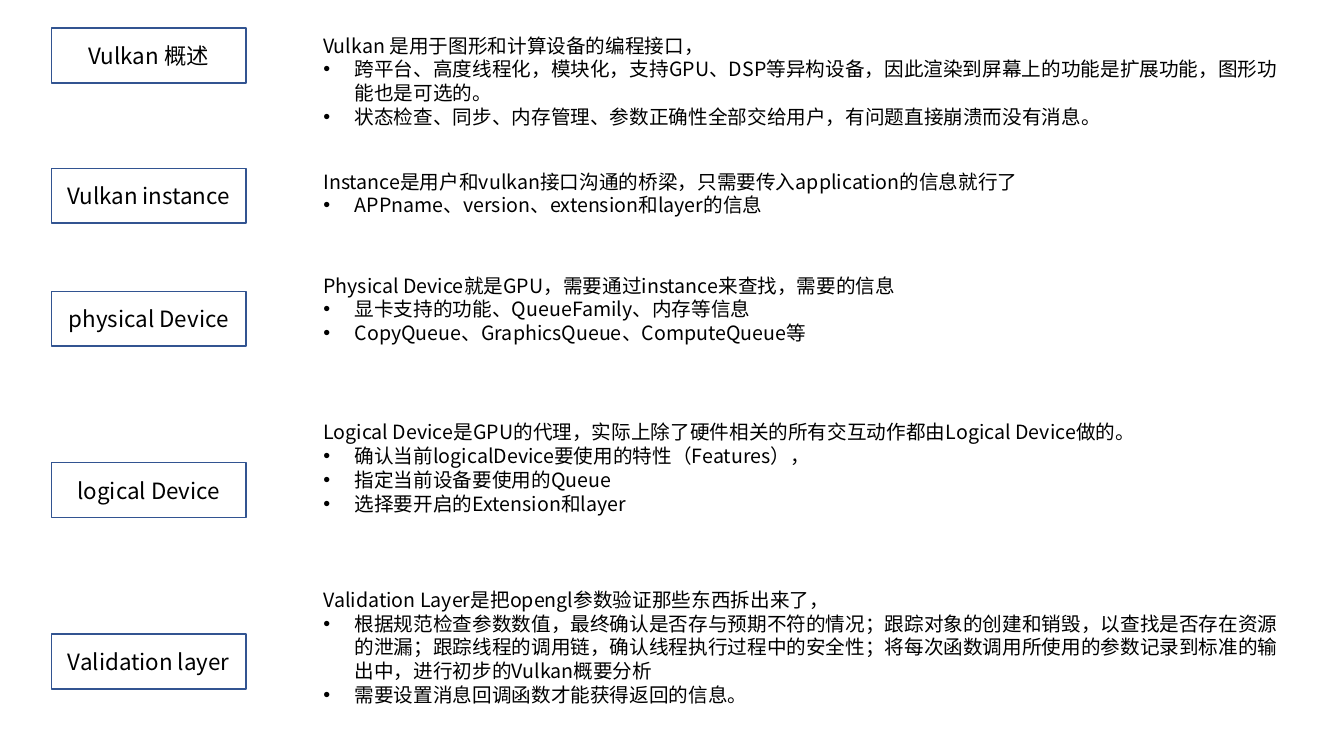
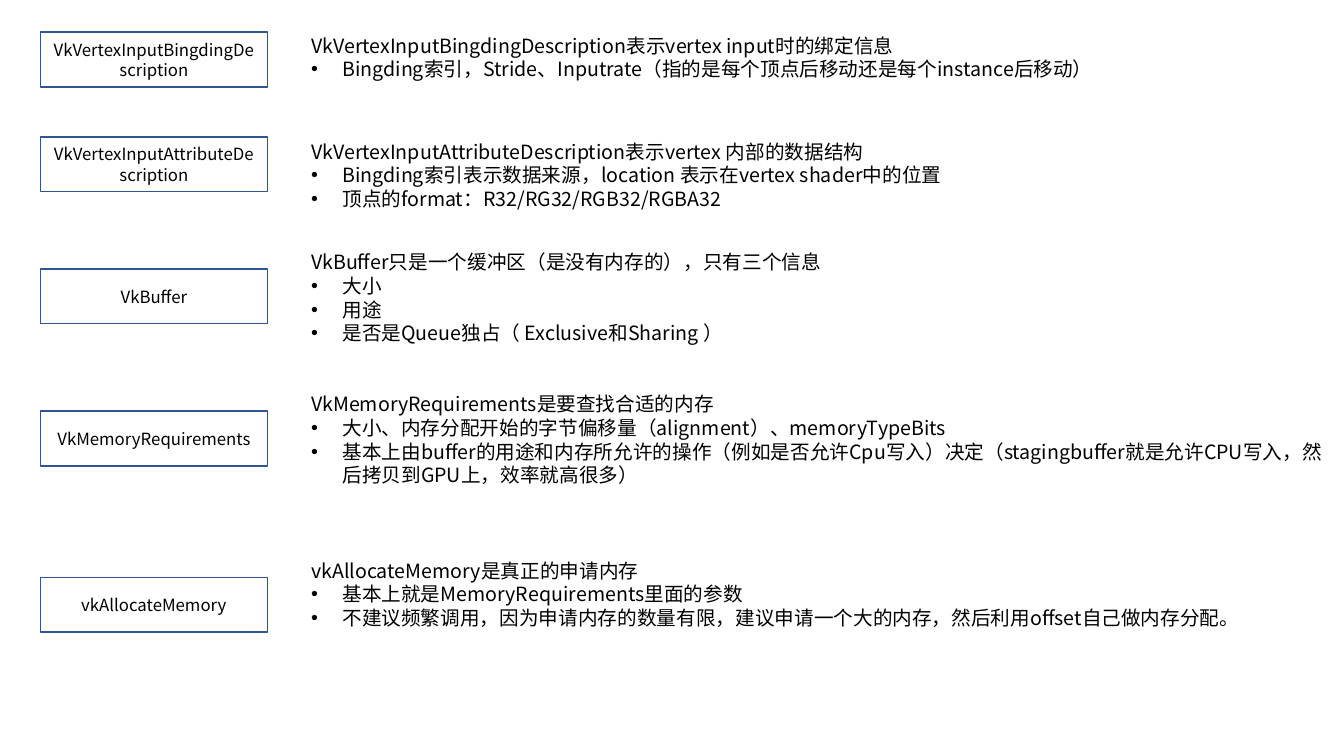
from dataclasses import dataclass

from lxml.etree import SubElement
from pptx import Presentation
from pptx.dml.color import RGBColor
from pptx.enum.shapes import MSO_SHAPE as SHAPE
from pptx.enum.text import MSO_ANCHOR as ANCHOR, MSO_AUTO_SIZE as FIT, PP_ALIGN as ALIGN
from pptx.oxml.ns import qn
from pptx.util import Cm, Pt


@dataclass(frozen=True)
class Theme:
    font: str = "Noto Sans CJK SC"
    ink: RGBColor = RGBColor(0, 0, 0)
    outline: RGBColor = RGBColor(0x32, 0x54, 0x91)
    line_width: float = 1
    body_size: float = 14
    leading: float = 1.21
    label_height: float = 1.38
    inset: float = 0.13
    bullet_indent: float = 0.79


@dataclass(frozen=True)
class Columns:
    label_left: float
    label_width: float
    label_size: float
    text_left: float
    text_width: float


@dataclass(frozen=True)
class Topic:
    label: str
    label_top: float
    text_top: float
    lines: int  # lines of text after wrapping
    lead: str
    points: tuple


T = Theme()


# Text helpers
def add_run(p, text, size):
    p.line_spacing = Pt(size * T.leading)
    r = p.add_run()
    r.text = text
    r.font.size = Pt(size)
    r.font.name = T.font
    r.font.color.rgb = T.ink
    SubElement(r.font._element, qn("a:ea"), typeface=T.font)


def add_bullet(p):
    pPr = p._p.get_or_add_pPr()
    indent = Cm(T.bullet_indent)
    pPr.set("marL", str(indent))
    pPr.set("indent", str(-indent))
    SubElement(pPr, qn("a:buFont"), typeface="Arial")
    SubElement(pPr, qn("a:buChar"), char="•")


# Outlined box naming the topic
def add_label(s, text, size, left, top, width):
    sp = s.shapes.add_shape(SHAPE.RECTANGLE, Cm(left), Cm(top),
                            Cm(width), Cm(T.label_height))
    sp.shadow.inherit = False
    sp.fill.background()
    sp.line.color.rgb = T.outline
    sp.line.width = Pt(T.line_width)
    tf = sp.text_frame
    tf.word_wrap = True
    tf.vertical_anchor = ANCHOR.MIDDLE
    p = tf.paragraphs[0]
    p.alignment = ALIGN.CENTER
    add_run(p, text, size)


# Lead sentence with its bullet points
def add_notes_block(s, topic, left, width):
    height = Pt(T.body_size * T.leading) * topic.lines + 2 * Cm(T.inset)
    tf = s.shapes.add_textbox(Cm(left), Cm(topic.text_top), Cm(width), height).text_frame
    tf.word_wrap = True
    tf.auto_size = FIT.SHAPE_TO_FIT_TEXT
    tf.margin_top = tf.margin_bottom = Cm(T.inset)
    add_run(tf.paragraphs[0], topic.lead, T.body_size)
    for point in topic.points:
        p = tf.add_paragraph()
        add_run(p, point, T.body_size)
        add_bullet(p)


def add_topic_slide(prs, cols, topics):
    s = prs.slides.add_slide(prs.slide_layouts[6])
    for topic in topics:
        add_label(s, topic.label, cols.label_size, cols.label_left,
                  topic.label_top, cols.label_width)
        add_notes_block(s, topic, cols.text_left, cols.text_width)


# Content
SETUP = (
    Topic("Vulkan 概述", 0.71, 0.71, 5, "Vulkan 是用于图形和计算设备的编程接口，", (
        "跨平台、高度线程化，模块化，支持GPU、DSP等异构设备，因此渲染到屏幕上的功能是扩展功能，"
        "图形功能也是可选的。",
        "状态检查、同步、内存管理、参数正确性全部交给用户，有问题直接崩溃而没有消息。")),
    Topic("Vulkan instance", 4.24, 4.14, 2,
          "Instance是用户和vulkan接口沟通的桥梁，只需要传入application的信息就行了", (
              "APPname、version、extension和layer的信息",)),
    Topic("physical Device", 7.34, 6.76, 3,
          "Physical Device就是GPU，需要通过instance来查找，需要的信息", (
              "显卡支持的功能、QueueFamily、内存等信息",
              "CopyQueue、GraphicsQueue、ComputeQueue等")),
    Topic("logical Device", 11.66, 10.46, 4,
          "Logical Device是GPU的代理，实际上除了硬件相关的所有交互动作都由Logical Device做的。", (
              "确认当前logicalDevice要使用的特性（Features），",
              "指定当前设备要使用的Queue",
              "选择要开启的Extension和layer")),
    Topic("Validation layer", 15.98, 14.68, 5,
          "Validation Layer是把opengl参数验证那些东西拆出来了，", (
              "根据规范检查参数数值，最终确认是否存与预期不符的情况；跟踪对象的创建和销毁，"
              "以查找是否存在资源的泄漏；跟踪线程的调用链，确认线程执行过程中的安全性；"
              "将每次函数调用所使用的参数记录到标准的输出中，进行初步的Vulkan概要分析",
              "需要设置消息回调函数才能获得返回的信息。")),
)

MEMORY = (
    Topic("VkVertexInputBingdingDescription", 0.81, 0.71, 2,
          "VkVertexInputBingdingDescription表示vertex input时的绑定信息", (
              "Bingding索引，Stride、Inputrate（指的是每个顶点后移动还是每个instance后移动）",)),
    Topic("VkVertexInputAttributeDescription", 3.45, 3.38, 3,
          "VkVertexInputAttributeDescription表示vertex 内部的数据结构", (
              "Bingding索引表示数据来源，location 表示在vertex shader中的位置",
              "顶点的format：R32/RG32/RGB32/RGBA32")),
    Topic("VkBuffer", 6.78, 6.17, 4,
          "VkBuffer只是一个缓冲区（是没有内存的），只有三个信息", (
              "大小", "用途", "是否是Queue独占（ Exclusive和Sharing ）")),
    Topic("VkMemoryRequirements", 10.36, 9.75, 4,
          "VkMemoryRequirements是要查找合适的内存", (
              "大小、内存分配开始的字节偏移量（alignment）、memoryTypeBits",
              "基本上由buffer的用途和内存所允许的操作（例如是否允许Cpu写入）决定"
              "（stagingbuffer就是允许CPU写入，然后拷贝到GPU上，效率就高很多）")),
    Topic("vkAllocateMemory", 14.55, 13.94, 3, "vkAllocateMemory是真正的申请内存", (
        "基本上就是MemoryRequirements里面的参数",
        "不建议频繁调用，因为申请内存的数量有限，建议申请一个大的内存，"
        "然后利用offset自己做内存分配。")),
)

prs = Presentation()
prs.slide_width, prs.slide_height = Cm(33.87), Cm(19.05)
add_topic_slide(prs, Columns(1.3, 4.9, 16, 7.9, 24.99), SETUP)
add_topic_slide(prs, Columns(1.02, 5.72, 12, 7.59, 26.06), MEMORY)
prs.save("out.pptx")
